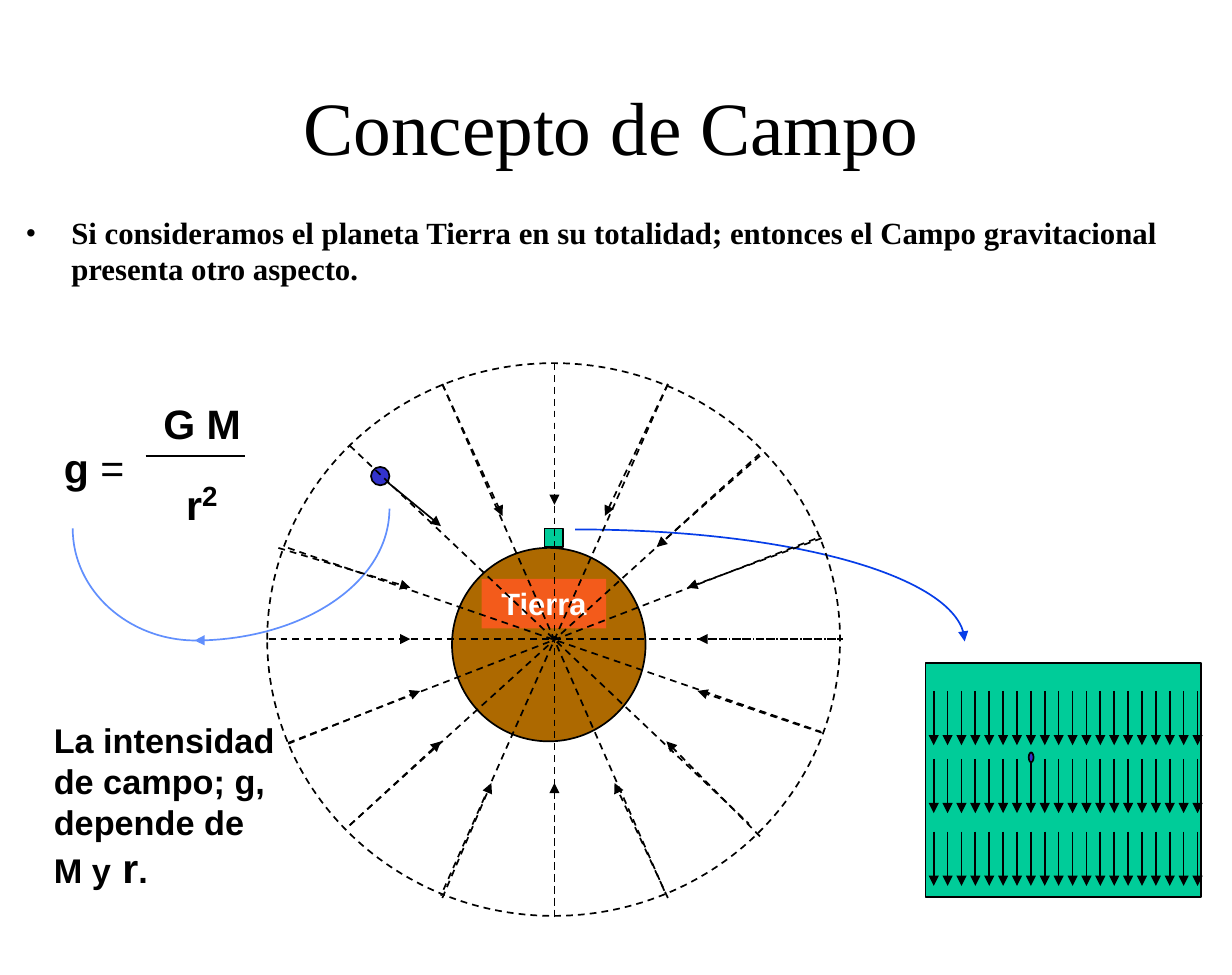
import pptx
import pptx.util
from pptx.dml.color import RGBColor
from pptx.enum.dml import MSO_LINE
from pptx.enum.shapes import MSO_CONNECTOR, MSO_SHAPE
from pptx.enum.text import MSO_ANCHOR, PP_ALIGN
from pptx.oxml.ns import qn
from lxml import etree

Cm, Pt = pptx.util.Cm, pptx.util.Pt

BLACK = RGBColor(0x00, 0x00, 0x00)
WHITE = RGBColor(0xFF, 0xFF, 0xFF)
GREEN = RGBColor(0x00, 0xCC, 0x99)
BROWN = RGBColor(0xAD, 0x69, 0x00)
ORANGE = RGBColor(0xF3, 0x5B, 0x1B)
INDIGO = RGBColor(0x33, 0x33, 0xCC)
BLUE = RGBColor(0x06, 0x3D, 0xE8)
LIGHT_BLUE = RGBColor(0x61, 0x8F, 0xFD)
SERIF, SANS = "Times New Roman", "Arial"
DASH, DOT = MSO_LINE.DASH, MSO_LINE.ROUND_DOT
INSETS = (0.25, 0.13)

# Content: lengths in centimetres; runs are (text, size, bold, baseline)
TITLE = "Concepto de Campo"
STATEMENT = ("Si consideramos el planeta Tierra en su totalidad; entonces "
             "el Campo gravitacional presenta otro aspecto.")
FORMULA_LEFT = [("g ", 24, True, 0), ("=", 24, False, 0)]
NUMERATOR = [("G M", 24, True, 0)]
DENOMINATOR = [("r", 24, True, 0), ("2", 28, True, 30000)]
REMARK = [("La intensidad de campo; g, depende de M y", 20, True, 0),
          (" r", 24, True, 0), (".", 20, True, 0)]
FRACTION_BAR = (3.0, 9.4, 5.05, 9.4)

# Quarter arcs: start, corner, end, colour, arrowhead
ARCS = [
    ((11.86, 10.92), (19.89, 10.92), (19.89, 13.23), BLUE, True),
    ((4.04, 13.21), (1.5, 13.21), (1.5, 10.9), LIGHT_BLUE, False),
    ((8.03, 10.49), (8.03, 13.21), (4.01, 13.21), LIGHT_BLUE, True),
]

# Uniform field close to the surface
FIELD_BOX = (19.08, 13.67, 5.69, 4.83)
FIELD_LEFT, FIELD_RIGHT, FIELD_COLUMNS = 19.25, 24.69, 20
FIELD_ROWS, FIELD_ARROW = (14.25, 15.65, 17.15), 1.12
FIELD_PARTICLE = (21.21, 15.52, 0.1, 0.2)

# Radial field around the planet
ORBIT = (5.51, 7.49, 11.81, 11.4)
PLANET = (9.32, 11.3, 3.99, 3.99)
SURFACE_BOX = (11.23, 10.9, 0.38, 0.38)
PLANET_LABEL = (9.93, 11.94, 2.57, 1.02)
PARTICLE = (7.65, 9.63, 0.38, 0.38)
RAYS = [
    (7.85, 9.83, 9.09, 10.85, None),
    (9.12, 7.92, 10.36, 10.64, DASH),
    (11.43, 7.49, 11.43, 10.41, DASH),
    (13.77, 7.92, 12.47, 10.64, DASH),
    (15.67, 9.4, 13.54, 11.28, DASH),
    (16.94, 11.1, 14.17, 12.12, DASH),
    (17.37, 13.18, 14.38, 13.18, DOT),
    (5.74, 11.3, 8.46, 12.12, DASH),
    (5.54, 13.18, 8.46, 13.18, DASH),
    (5.94, 15.34, 8.66, 14.25, DASH),
    (7.21, 17.02, 9.09, 15.29, DASH),
    (9.12, 18.52, 10.13, 16.15, DASH),
    (11.43, 18.92, 11.43, 16.15, DASH),
    (13.77, 18.52, 12.67, 16.15, DASH),
    (15.67, 17.25, 13.74, 15.29, DASH),
    (16.94, 15.11, 14.38, 14.25, DASH),
]
DIAMETERS = [
    (7.21, 17.02, 15.65, 9.37), (11.43, 7.49, 11.43, 18.9),
    (9.12, 7.92, 13.74, 18.47), (7.21, 9.19, 15.44, 16.99),
    (5.94, 11.3, 16.92, 15.09), (5.54, 13.18, 17.35, 13.18),
    (5.94, 15.32, 16.92, 11.07), (13.77, 7.92, 9.09, 18.47),
]


def lengths(values):
    return [Cm(value) for value in values]


def style_line(item, color=BLACK, dash=None, arrow=False):
    item.line.color.rgb = color
    item.line.width = Pt(1)
    if dash is not None:
        item.line.dash_style = dash
    if arrow:
        outline = item.element.spPr.find(qn("a:ln"))
        etree.SubElement(outline, qn("a:tailEnd"), type="triangle")


def add_line(shapes, ends, dash=None, arrow=False):
    line = shapes.add_connector(MSO_CONNECTOR.STRAIGHT, *lengths(ends))
    style_line(line, dash=dash, arrow=arrow)
    etree.SubElement(line.element.spPr, qn("a:effectLst"))


def add_shape(shapes, kind, place, fill=None, outlined=True, dash=None):
    shape = shapes.add_shape(kind, *lengths(place))
    shape.shadow.inherit = False
    if fill is None:
        shape.fill.background()
    else:
        shape.fill.solid()
        shape.fill.fore_color.rgb = fill
    if outlined:
        style_line(shape, dash=dash)
    else:
        shape.line.fill.background()
    return shape


def add_arc(shapes, start, corner, end, color, arrow):
    """Draw a quarter ellipse as one cubic curve."""
    controls = [tuple(a + 0.55 * (c - a) for a, c in zip(anchor, corner))
                for anchor in (start, end)]
    builder = shapes.build_freeform(*lengths(start))
    builder.add_line_segments([lengths(point) for point in (*controls, end)],
                              close=False)
    arc = builder.convert_to_shape()
    steps = list(arc.element.iter(qn("a:lnTo")))
    curve = etree.SubElement(steps[0].getparent(), qn("a:cubicBezTo"))
    for step in steps:
        curve.append(step[0])
        step.getparent().remove(step)
    arc.shadow.inherit = False
    arc.fill.background()
    style_line(arc, color, arrow=arrow)


def set_frame(shape, insets, anchor=MSO_ANCHOR.TOP):
    frame = shape.text_frame
    frame.word_wrap = True
    frame.vertical_anchor = anchor
    frame.margin_left = frame.margin_right = Cm(insets[0])
    frame.margin_top = frame.margin_bottom = Cm(insets[1])
    return frame


def add_runs(para, runs, font=SANS, color=BLACK):
    for text, size, bold, baseline in runs:
        span = para.add_run()
        span.text = text
        span.font.name, span.font.size, span.font.bold = font, Pt(size), bold
        span.font.color.rgb = color
        if baseline:
            span._r.get_or_add_rPr().set("baseline", str(baseline))


def add_text(slide, place, runs, insets=INSETS, font=SANS):
    box = slide.shapes.add_textbox(*lengths(place))
    para = set_frame(box, insets).paragraphs[0]
    add_runs(para, runs, font)
    return box, para


def indent(para, left, first=0):
    properties = para._p.get_or_add_pPr()
    properties.set("marL", str(Cm(left)))
    properties.set("indent", str(Cm(first)))
    return properties


def main():
    deck = pptx.Presentation()
    deck.slide_width, deck.slide_height = Cm(25.4), Pt(570)
    slide = deck.slides.add_slide(deck.slide_layouts[5])

    # Statement with its bullet
    _, para = add_text(slide, (0.53, 4.45, 25.2, 1.88),
                       [(STATEMENT, 18, True, 0)], (0, 0), SERIF)
    properties = indent(para, 0.94, -0.94)
    bullet_color = etree.SubElement(properties, qn("a:buClr"))
    etree.SubElement(bullet_color, qn("a:srgbClr"), val=str(BLACK))
    etree.SubElement(properties, qn("a:buFont"), typeface=SERIF)
    etree.SubElement(properties, qn("a:buChar"), char="•")
    para.line_spacing = 0.97

    # Title
    title = slide.shapes.title
    title.left, title.top, title.width, title.height = lengths(
        (1.7, 1.17, 21.79, 2.97))
    para = set_frame(title, (0, 0), MSO_ANCHOR.MIDDLE).paragraphs[0]
    para.alignment, para.line_spacing = PP_ALIGN.CENTER, 0.97
    add_runs(para, [(TITLE, 44, False, 0)], SERIF)

    # Uniform field
    field = slide.shapes.add_group_shape().shapes
    add_shape(field, MSO_SHAPE.RECTANGLE, FIELD_BOX, GREEN)
    gap = (FIELD_RIGHT - FIELD_LEFT) / (FIELD_COLUMNS - 1)
    for top in FIELD_ROWS:
        for column in range(FIELD_COLUMNS):
            x = FIELD_LEFT + column * gap
            add_line(field, (x, top, x, top + FIELD_ARROW), arrow=True)
    add_shape(field, MSO_SHAPE.OVAL, FIELD_PARTICLE, INDIGO)

    # Formula, curves and remark
    add_text(slide, (1.07, 8.99, 3.2, 1.27), FORMULA_LEFT)
    box, _ = add_text(slide, (3.12, 8.08, 2.36, 2.97), NUMERATOR)
    para = box.text_frame.add_paragraph()
    indent(para, 0.47)
    para.space_before = Pt(15)
    add_runs(para, DENOMINATOR)
    add_line(slide.shapes, FRACTION_BAR)
    for arc in ARCS:
        add_arc(slide.shapes, *arc)
    add_text(slide, (0.86, 14.71, 5.11, 3.81), REMARK)

    # Radial field
    radial = slide.shapes.add_group_shape().shapes
    add_shape(radial, MSO_SHAPE.OVAL, ORBIT, dash=DASH)
    add_shape(radial, MSO_SHAPE.OVAL, PLANET, BROWN)
    for *ends, dash in RAYS:
        add_line(radial, ends, dash, arrow=True)
    add_shape(radial, MSO_SHAPE.RECTANGLE, SURFACE_BOX, GREEN)
    label = add_shape(radial, MSO_SHAPE.RECTANGLE, PLANET_LABEL, ORANGE, False)
    para = set_frame(label, INSETS).paragraphs[0]
    para.alignment = PP_ALIGN.CENTER
    add_runs(para, [("Tierra", 18, True, 0)], color=WHITE)
    add_shape(radial, MSO_SHAPE.OVAL, PARTICLE, INDIGO)
    for ends in DIAMETERS:
        add_line(radial, ends, DASH)

    deck.save("out.pptx")


if __name__ == "__main__":
    main()
